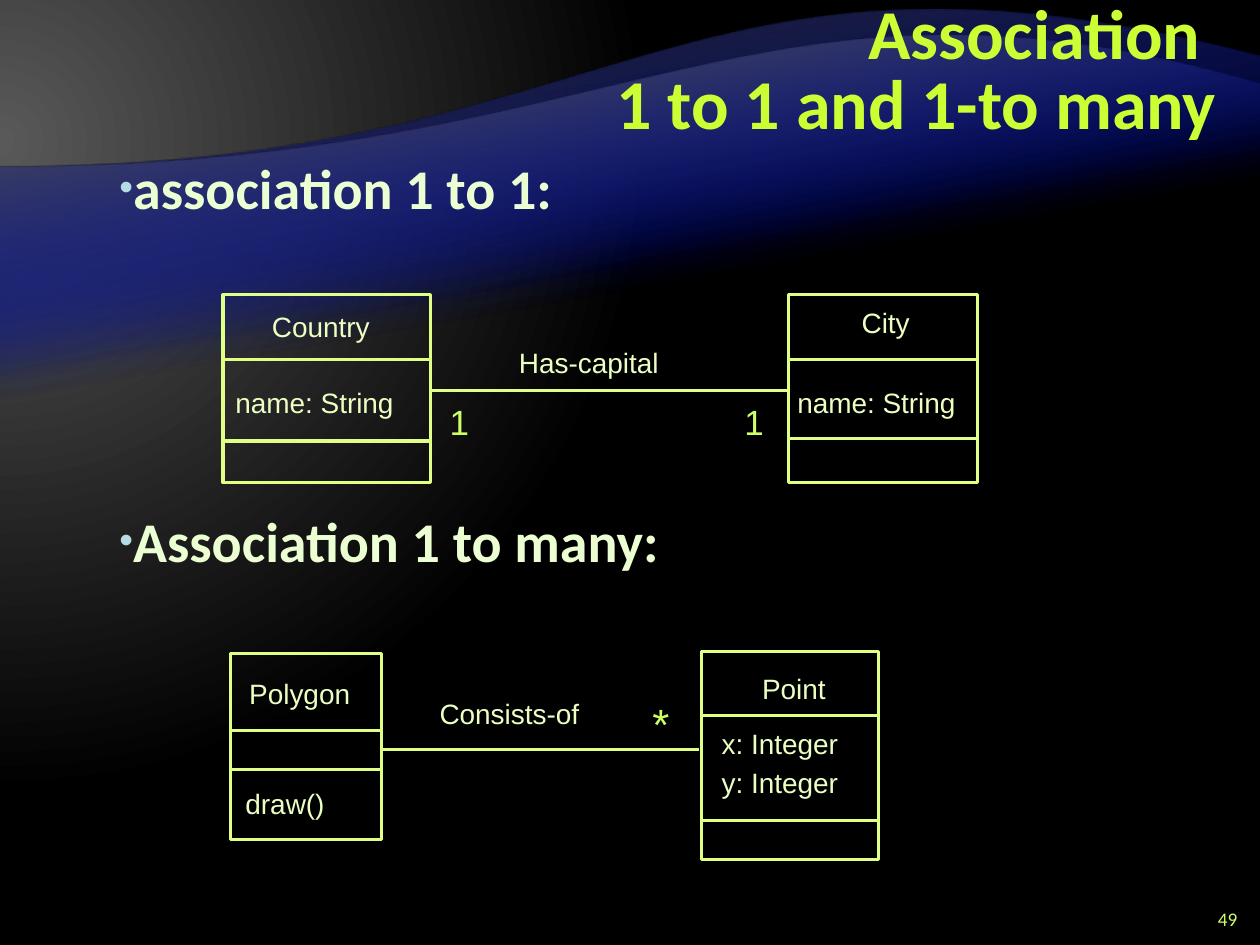
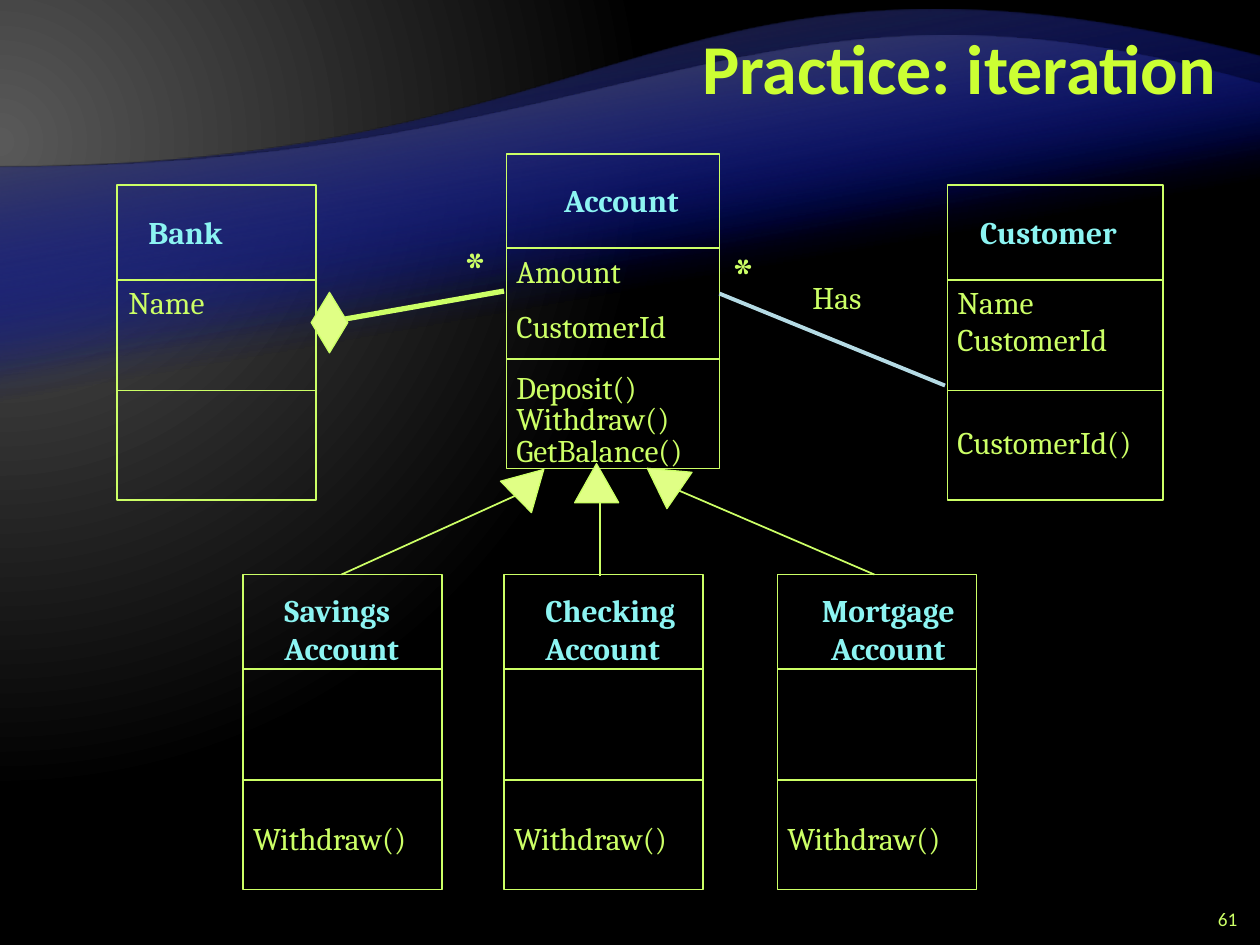
"""Build two UML class diagram slides on a dark background with blue waves."""
import dataclasses
import typing

import lxml.etree
import pptx
import pptx.dml.color
import pptx.enum.shapes
import pptx.enum.text
import pptx.oxml.ns
import pptx.presentation
import pptx.shapes.autoshape
import pptx.slide
import pptx.util

Inches = pptx.util.Inches
Pt = pptx.util.Pt
Align = pptx.enum.text.PP_ALIGN
Anchor = pptx.enum.text.MSO_ANCHOR
Shape = pptx.enum.shapes.MSO_SHAPE
Point = tuple[float, float]
qn = pptx.oxml.ns.qn

TITLE_COLOR = "CCFF33"
LIME = "CCFF66"
PALE_LIME = "E0FF85"
CREAM = "EBFFC2"
BODY_COLOR = "EBFFD2"
CYAN = "8CF4F2"
SKY = "B5DBE5"


@dataclasses.dataclass(frozen=True)
class TextStyle:
    font: str
    size: float
    color: str
    bold: bool = False


TITLE = TextStyle("Calibri", 40, TITLE_COLOR, True)
BODY = TextStyle("Calibri", 32, BODY_COLOR, True)
NUMBER = TextStyle("Calibri", 11, LIME)
PLAIN = TextStyle("Arial", 16, CREAM)
COUNT = TextStyle("Arial", 20, LIME)
MANY = TextStyle("Arial", 25, LIME)
MEMBER = TextStyle("Cambria", 18, LIME)
HEADING = TextStyle("Cambria", 18, CYAN, True)
STAR = TextStyle("Cambria", 32, LIME)


@dataclasses.dataclass(frozen=True)
class Label:
    text: str
    left: float
    top: float
    width: float
    style: TextStyle = PLAIN
    height: float = 0.4
    align: typing.Any = Align.LEFT
    wrap: bool = False


@dataclasses.dataclass(frozen=True)
class ClassBox:
    left: float
    top: float
    width: float
    height: float
    dividers: tuple[float, float]
    labels: tuple[Label, ...] = ()


@dataclasses.dataclass(frozen=True)
class Link:
    start: Point
    end: Point
    color: str = PALE_LIME
    weight: float = 1.75
    tail: str = ""


@dataclasses.dataclass(frozen=True)
class Marker:
    kind: typing.Any
    left: float
    top: float
    width: float
    height: float
    rotation: float = 0


@dataclasses.dataclass(frozen=True)
class Wave:
    start: Point
    first_control: Point
    second_control: Point
    end: Point
    bottom: float
    top_color: str

    def turned(self, point: Point) -> tuple[int, int]:
        return Inches(10 - point[0]), Inches(self.end[1] + self.bottom - point[1])


WAVES = (
    Wave((0, 1.33), (5, 1.33), (5.34, -0.75), (10, 0.45), 6.53, "262626"),
    Wave((0, 1.33), (5, 1.33), (5.98, -0.49), (10, 0.67), 5.57, "595959"),
)

COUNTRY_BOXES = (
    ClassBox(1.77, 2.34, 1.65, 1.49, (2.85, 3.5), (
        Label("Country", 2.06, 2.41, 1.05), Label("name: String", 1.77, 3.01, 1.56))),
    ClassBox(6.26, 2.34, 1.5, 1.49, (2.85, 3.48), (
        Label("City", 6.74, 2.38, 0.62), Label("name: String", 6.23, 3.01, 1.56))),
    ClassBox(1.83, 5.19, 1.2, 1.47, (5.8, 6.11), (
        Label("Polygon", 1.88, 5.32, 1.07), Label("draw()", 1.85, 6.19, 0.87))),
    ClassBox(5.57, 5.17, 1.4, 1.65, (5.68, 6.51), (
        Label("Point", 5.95, 5.28, 0.75), Label("x: Integer", 5.63, 5.72, 1.2),
        Label("y: Integer", 5.63, 6.03, 1.2))),
)
COUNTRY_LINKS = (Link((3.42, 3.1), (6.26, 3.1)), Link((5.55, 5.95), (3.04, 5.95)))
COUNTRY_LABELS = (
    Label("Has-capital", 4.02, 2.69, 1.61, wrap=True),
    Label("1", 3.47, 3.13, 0.35, COUNT),
    Label("1", 5.81, 3.13, 0.35, COUNT),
    Label("*", 5.08, 5.48, 0.41, MANY, 0.76),
    Label("Consists-of", 3.39, 5.48, 1.61, wrap=True),
)


def bank_box(left: float, top: float, width: float, *labels: Label) -> ClassBox:
    return ClassBox(left, top, width, 2.5, (top + 0.75, top + 1.63), labels)


def subclass_box(left: float, name: str, name_width: float, align: typing.Any = Align.LEFT) -> ClassBox:
    return bank_box(
        left, 4.56, 1.58,
        Label(f"{name}\nAccount", left + 0.23, 4.64, name_width, HEADING, 0.7, align),
        Label("Withdraw()", left - 0.02, 6.45, 1.49, MEMBER))


BANK_BOXES = (
    bank_box(4.02, 1.22, 1.69,
             Label("Account", 4.38, 1.39, 1.2, HEADING),
             Label("Amount", 4, 1.95, 1.15, MEMBER),
             Label("CustomerId", 4, 2.39, 1.59, MEMBER),
             Label("Deposit()", 4, 2.87, 1.28, MEMBER),
             Label("Withdraw()", 4, 3.12, 1.49, MEMBER),
             Label("GetBalance()", 4, 3.37, 1.74, MEMBER)),
    bank_box(0.93, 1.47, 1.58,
             Label("Bank", 1.08, 1.64, 0.81, HEADING),
             Label("Name", 0.92, 2.2, 0.88, MEMBER)),
    bank_box(7.52, 1.47, 1.71,
             Label("Customer", 7.68, 1.64, 1.38, HEADING),
             Label("Name", 7.5, 2.2, 0.88, MEMBER),
             Label("CustomerId", 7.5, 2.49, 1.59, MEMBER),
             Label("CustomerId()", 7.5, 3.31, 1.76, MEMBER)),
    subclass_box(1.93, "Savings", 1.2),
    subclass_box(4, "Checking", 1.33),
    subclass_box(6.17, "Mortgage", 1.3, Align.CENTER),
)
BANK_LINKS = (
    Link((5.71, 2.33), (7.5, 3.06), SKY, 2.25),
    Link((4, 2.31), (2.58, 2.56), LIME, 3, "diamond"),
    Link((2.71, 4.56), (4.1, 3.93), LIME, 1),
    Link((4.76, 3.99), (4.76, 4.57), LIME, 1),
    Link((5.38, 3.89), (6.94, 4.56), LIME, 1),
)
BANK_MARKERS = (
    Marker(Shape.DIAMOND, 2.47, 2.32, 0.29, 0.48),
    Marker(Shape.ISOSCELES_TRIANGLE, 4.03, 3.68, 0.35, 0.31, 45.4),
    Marker(Shape.ISOSCELES_TRIANGLE, 4.56, 3.68, 0.35, 0.31, 359.9),
    Marker(Shape.ISOSCELES_TRIANGLE, 5.09, 3.65, 0.35, 0.31, 304.6),
)
BANK_LABELS = (
    Label("Has", 6.35, 2.16, 0.66, MEMBER),
    Label("*", 5.71, 1.86, 0.38, STAR, 0.63),
    Label("*", 3.58, 1.81, 0.38, STAR, 0.63),
)


def rgb(color: str) -> pptx.dml.color.RGBColor:
    return pptx.dml.color.RGBColor.from_string(color)


def add_child(parent: typing.Any, tag: str, **attributes: str) -> typing.Any:
    return lxml.etree.SubElement(parent, qn(tag), attributes)


def set_gradient(holder: typing.Any, stops: tuple, direction: str, **settings: str) -> typing.Any:
    gradient = lxml.etree.Element(qn("a:gradFill"), {"rotWithShape": "1"})
    stop_list = add_child(gradient, "a:gsLst")
    for percent, color, alpha in stops:
        stop = add_child(stop_list, "a:gs", pos=str(percent * 1000))
        tint = add_child(stop, "a:srgbClr", val=color)
        if alpha < 100:
            add_child(tint, "a:alpha", val=str(alpha * 1000))
    shading = add_child(gradient, direction, **settings)
    holder.replace(holder.find(qn("a:solidFill")), gradient)
    return shading


def set_background(deck: pptx.presentation.Presentation) -> None:
    master = deck.slide_master
    master.background.fill.solid()
    master.background.fill.fore_color.rgb = rgb("000000")
    holder = master.element.find(f".//{qn('p:bgPr')}")
    shading = set_gradient(holder, ((0, "595959", 100), (83, "000000", 100)), "a:path", path="circle")
    add_child(shading, "a:fillToRect", l="20000", t="30000", r="135000", b="100000")


def add_wave(page: pptx.slide.Slide, wave: Wave) -> None:
    corners = [wave.turned(point) for point in ((10, wave.bottom), (0, wave.bottom), wave.start, wave.end)]
    builder = page.shapes.build_freeform(*corners[0])
    builder.add_line_segments(corners[1:], close=True)
    band = builder.convert_to_shape()
    band.shadow.inherit = False
    band.line.fill.background()
    band.fill.solid()
    properties = band.element.spPr
    crest = properties.findall(f".//{qn('a:lnTo')}")[2]
    curve = lxml.etree.Element(qn("a:cubicBezTo"))
    for point in (wave.first_control, wave.second_control, wave.end):
        x, y = wave.turned(point)
        add_child(curve, "a:pt", x=str(x - band.left), y=str(y - band.top))
    crest.getparent().replace(crest, curve)
    set_gradient(properties, ((65, "000D9E", 0), (100, wave.top_color, 100)),
                 "a:lin", ang=str(80 * 60000), scaled="0")
    band.rotation = 180
    page.slide_layout.element.find(f".//{qn('p:spTree')}").append(band.element)


def add_span(para: typing.Any, text: str, style: TextStyle) -> None:
    span = para.add_run()
    span.text = text
    span.font.name = style.font
    span.font.size = Pt(style.size)
    span.font.bold = style.bold
    span.font.color.rgb = rgb(style.color)


def add_frame(page: pptx.slide.Slide, left: float, top: float, width: float, height: float) -> typing.Any:
    frame = page.shapes.add_textbox(Inches(left), Inches(top), Inches(width), Inches(height)).text_frame
    frame.word_wrap = True
    return frame


def add_label(page: pptx.slide.Slide, label: Label) -> None:
    frame = add_frame(page, label.left, label.top, label.width, label.height)
    frame.word_wrap = label.wrap
    frame.auto_size = pptx.enum.text.MSO_AUTO_SIZE.SHAPE_TO_FIT_TEXT
    for index, line in enumerate(label.text.split("\n")):
        para = frame.add_paragraph() if index else frame.paragraphs[0]
        para.alignment = label.align
        add_span(para, line, label.style)


def add_link(page: pptx.slide.Slide, link: Link) -> None:
    ends = [Inches(value) for value in link.start + link.end]
    line = page.shapes.add_connector(pptx.enum.shapes.MSO_CONNECTOR.STRAIGHT, *ends)
    line.line.color.rgb = rgb(link.color)
    line.line.width = Pt(link.weight)
    properties = line.element.spPr
    if link.tail:
        add_child(properties.find(qn("a:ln")), "a:tailEnd", type=link.tail)
    add_child(properties, "a:effectLst")


def add_outline(page: pptx.slide.Slide, kind: typing.Any, item: typing.Any, color: str,
                weight: float) -> pptx.shapes.autoshape.Shape:
    place = [Inches(value) for value in (item.left, item.top, item.width, item.height)]
    outline = page.shapes.add_shape(kind, *place)
    outline.shadow.inherit = False
    outline.fill.background()
    outline.line.color.rgb = rgb(color)
    outline.line.width = Pt(weight)
    return outline


def add_class(page: pptx.slide.Slide, box: ClassBox, color: str, weight: float) -> None:
    add_outline(page, Shape.RECTANGLE, box, color, weight)
    for y in box.dividers:
        add_link(page, Link((box.left, y), (box.left + box.width, y), color, weight))
    for label in box.labels:
        add_label(page, label)


def add_marker(page: pptx.slide.Slide, marker: Marker) -> None:
    arrow = add_outline(page, marker.kind, marker, LIME, 0.75)
    arrow.fill.solid()
    arrow.fill.fore_color.rgb = rgb(PALE_LIME)
    arrow.rotation = marker.rotation


def add_page(deck: pptx.presentation.Presentation, title: str, number: str) -> pptx.slide.Slide:
    page = deck.slides.add_slide(deck.slide_layouts[6])
    heading = add_frame(page, 2, 0.08, 7.75, 1)
    footer = add_frame(page, 9.42, 7.17, 0.5, 0.25)
    for frame, text, style in ((heading, title, TITLE), (footer, number, NUMBER)):
        frame.vertical_anchor = Anchor.MIDDLE
        para = frame.paragraphs[0]
        para.alignment = Align.RIGHT
        for index, line in enumerate(text.split("\n")):
            if index:
                para.add_line_break()
            add_span(para, line, style)
    heading.paragraphs[0].line_spacing = Pt(40)
    return page


def add_bullets(page: pptx.slide.Slide) -> None:
    frame = add_frame(page, 0.25, 1.17, 9.5, 6.17)
    second = frame.add_paragraph()
    for para, text, gap in ((frame.paragraphs[0], "association 1 to 1:", 6),
                            (second, "Association 1 to many:", 157)):
        para.space_before, para.space_after = Pt(gap), Pt(6)
        add_span(para, text, BODY)
        properties = para._p.get_or_add_pPr()
        properties.set("marL", str(Inches(0.31)))
        properties.set("indent", str(Inches(0.29)))
        add_child(add_child(properties, "a:buClr"), "a:srgbClr", val=SKY)
        add_child(properties, "a:buSzPct", val="70000")
        add_child(properties, "a:buFont", typeface="Arial")
        add_child(properties, "a:buChar", char="•")


def add_diagram(page: pptx.slide.Slide, boxes: tuple, links: tuple, labels: tuple,
                color: str, weight: float) -> None:
    for box in boxes:
        add_class(page, box, color, weight)
    for link in links:
        add_link(page, link)
    for label in labels:
        add_label(page, label)


def main() -> None:
    deck = pptx.Presentation()
    deck.slide_width, deck.slide_height = Inches(10), Inches(7.5)
    set_background(deck)
    page = add_page(deck, "Association \n1 to 1 and 1-to many", "49")
    for wave in WAVES * 2:
        add_wave(page, wave)
    add_bullets(page)
    add_diagram(page, COUNTRY_BOXES, COUNTRY_LINKS, COUNTRY_LABELS, PALE_LIME, 1.75)
    page = add_page(deck, "Practice: iteration", "61")
    add_diagram(page, BANK_BOXES, BANK_LINKS, BANK_LABELS, LIME, 1)
    for marker in BANK_MARKERS:
        add_marker(page, marker)
    deck.save("out.pptx")


if __name__ == "__main__":
    main()
